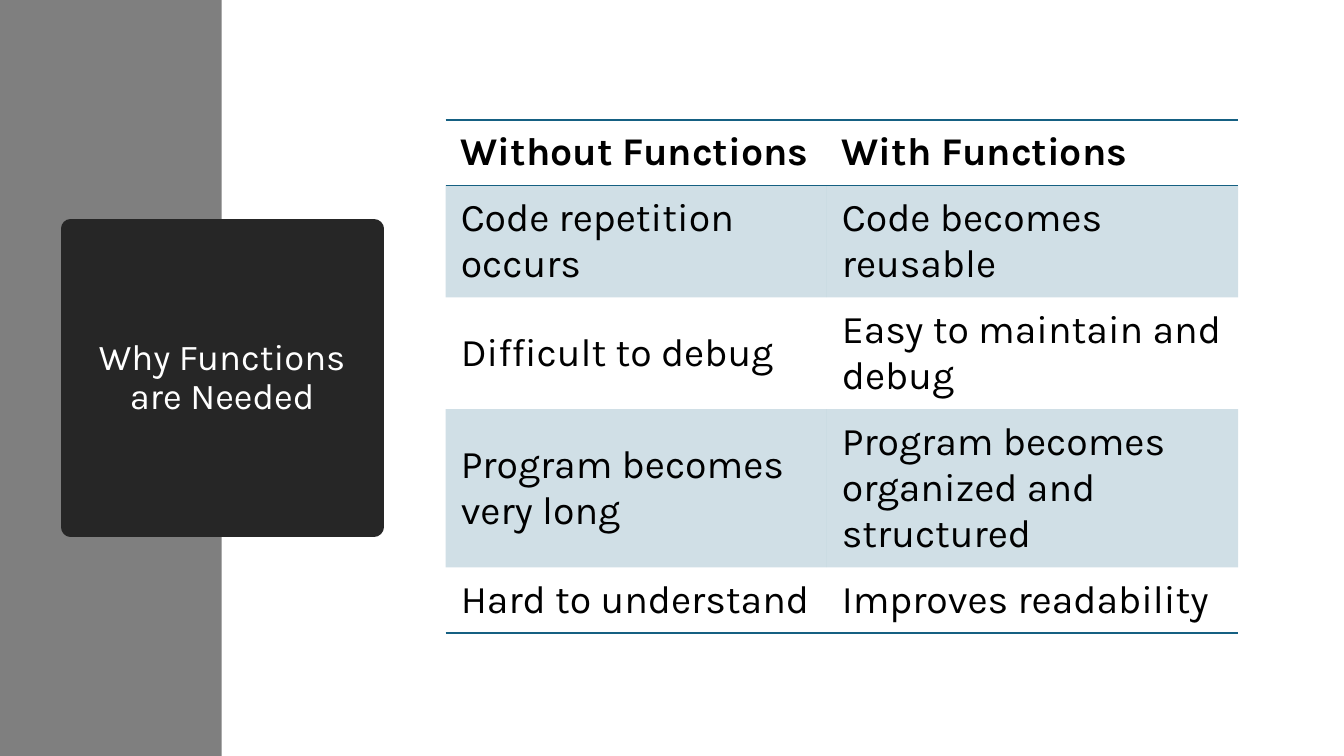
import pptx
import pptx.dml.color
import pptx.enum.shapes
import pptx.enum.text
import pptx.oxml
import pptx.oxml.ns
import pptx.util
from pptx.util import Inches

RGBColor = pptx.dml.color.RGBColor
GRAY = RGBColor(0x7F, 0x7F, 0x7F)
CHARCOAL = RGBColor(0x26, 0x26, 0x26)
TEAL = RGBColor(0x15, 0x60, 0x82)
WHITE = RGBColor(0xFF, 0xFF, 0xFF)
BLACK = RGBColor(0x00, 0x00, 0x00)

FONT = "Karla"
NO_STYLE = "{2D5ABB26-0587-4C30-8999-92F81FD0307C}"
MIDDLE = pptx.enum.text.MSO_ANCHOR.MIDDLE
CENTER = pptx.enum.text.PP_ALIGN.CENTER

COLUMN_WIDTHS = (3.78, 4.08)
ROW_HEIGHTS = (0.65, 1.11, 1.11, 1.57, 0.65)
COMPARISON = (
    ("Without Functions", "With Functions"),
    ("Code repetition occurs", "Code becomes reusable"),
    ("Difficult to debug", "Easy to maintain and debug"),
    ("Program becomes very long", "Program becomes organized and structured"),
    ("Hard to understand", "Improves readability"),
)


def write_text(frame, text, size, color, bold=False, align=None, spacing=None):
    """Put one formatted paragraph in a text frame."""
    frame.word_wrap = True
    para = frame.paragraphs[0]
    para.alignment = align
    para.line_spacing = spacing
    span = para.add_run()
    span.text = text
    span.font.name = FONT
    span.font.size = pptx.util.Pt(size)
    span.font.bold = bold
    span.font.color.rgb = color


def add_block(page, left, top, width, height, color):
    """Add a plain filled rectangle without an outline."""
    block = page.shapes.add_shape(
        pptx.enum.shapes.MSO_SHAPE.RECTANGLE,
        Inches(left), Inches(top), Inches(width), Inches(height))
    block.shadow.inherit = False
    block.fill.solid()
    block.fill.fore_color.rgb = color
    block.line.fill.background()
    return block


def add_title(page, text):
    """Add the dark title block, softened by a thick round-joined outline."""
    block = add_block(page, 0.7, 2.27, 3.01, 2.96, CHARCOAL)
    block.line.color.rgb = CHARCOAL
    block.line.width = pptx.util.Pt(13.75)
    outline = block.element.spPr.find(pptx.oxml.ns.qn("a:ln"))
    outline.append(pptx.oxml.parse_xml(
        f'<a:round {pptx.oxml.ns.nsdecls("a")}/>'))
    block.text_frame.vertical_anchor = MIDDLE
    write_text(block.text_frame, text, 26, WHITE, align=CENTER, spacing=0.9)


def add_borders(properties, sides):
    """Draw thin teal rules on the given cell sides."""
    for position, side in enumerate(sides):
        properties.insert(position, pptx.oxml.parse_xml(
            f'<a:ln{side} {pptx.oxml.ns.nsdecls("a")} w="12700">'
            f'<a:solidFill><a:srgbClr val="{TEAL}"/></a:solidFill>'
            f'</a:ln{side}>'))


def fill_cell(cell, banded):
    """Tint a banded cell with translucent teal, or leave it clear."""
    if not banded:
        cell.fill.background()
        return
    cell.fill.solid()
    cell.fill.fore_color.rgb = TEAL
    color = next(cell.fill.fore_color and
                 cell._tc.tcPr.iter(pptx.oxml.ns.qn("a:srgbClr")))
    color.append(pptx.oxml.parse_xml(
        f'<a:alpha {pptx.oxml.ns.nsdecls("a")} val="20000"/>'))


def add_comparison(page):
    """Add the two-column comparison table."""
    frame = page.shapes.add_table(
        len(ROW_HEIGHTS), len(COLUMN_WIDTHS), Inches(4.42), Inches(1.19),
        Inches(sum(COLUMN_WIDTHS)), Inches(sum(ROW_HEIGHTS)))
    table = frame.table
    table.first_row = table.horz_banding = False
    next(frame.element.iter(pptx.oxml.ns.qn("a:tableStyleId"))).text = NO_STYLE
    for column, width in zip(table.columns, COLUMN_WIDTHS):
        column.width = Inches(width)
    rules = {0: "TB", len(ROW_HEIGHTS) - 1: "B"}
    for index, (row, height) in enumerate(zip(table.rows, ROW_HEIGHTS)):
        row.height = Inches(height)
        for cell, text in zip(row.cells, COMPARISON[index]):
            cell.vertical_anchor = MIDDLE
            cell.margin_left = cell.margin_right = Inches(0.15)
            cell.margin_top = cell.margin_bottom = Inches(0.08)
            write_text(cell.text_frame, text, 28, BLACK, bold=index == 0)
            fill_cell(cell, banded=index % 2 == 1)
            add_borders(cell._tc.tcPr, rules.get(index, ""))


def main():
    """Build the slide and save it."""
    deck = pptx.Presentation()
    deck.slide_width = Inches(13.33)
    deck.slide_height = Inches(7.5)
    page = deck.slides.add_slide(deck.slide_layouts[6])
    add_block(page, 0, 0, 2.2, 7.5, GRAY)
    add_title(page, "Why Functions are Needed")
    add_comparison(page)
    deck.save("out.pptx")


if __name__ == "__main__":
    main()
